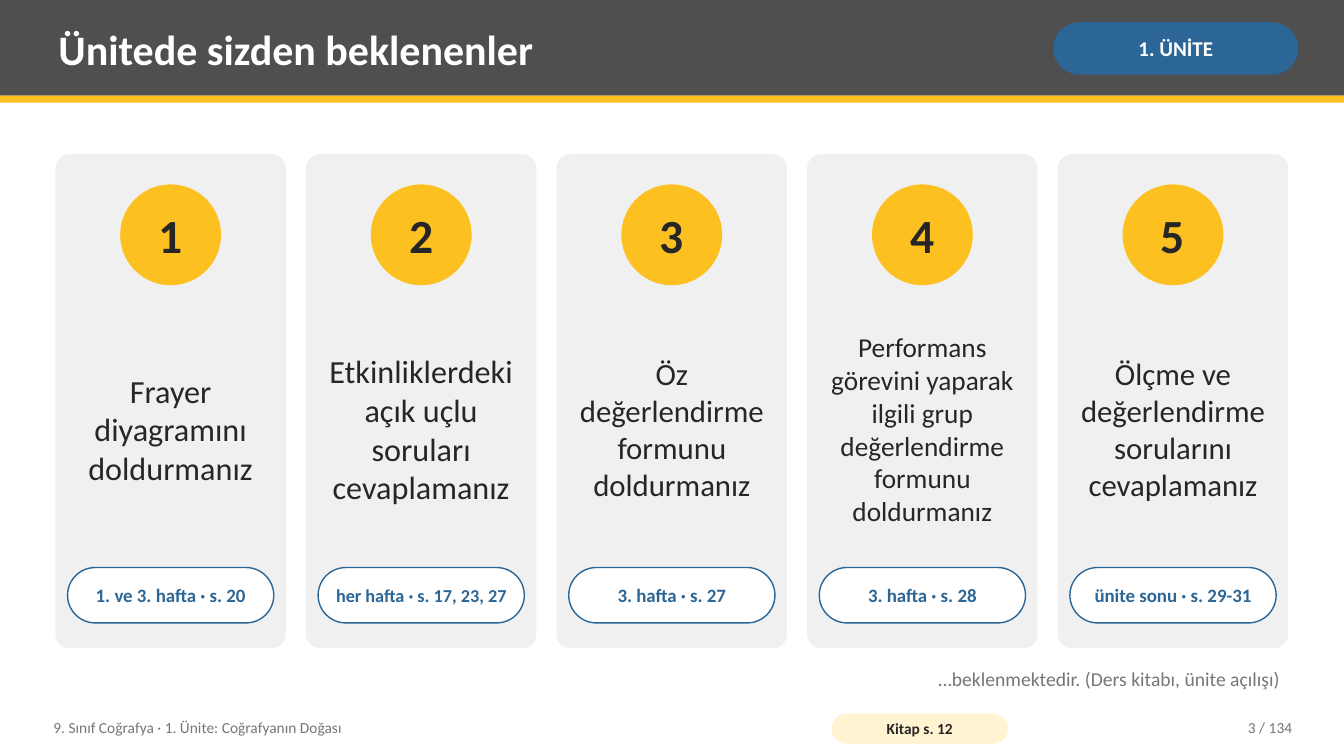
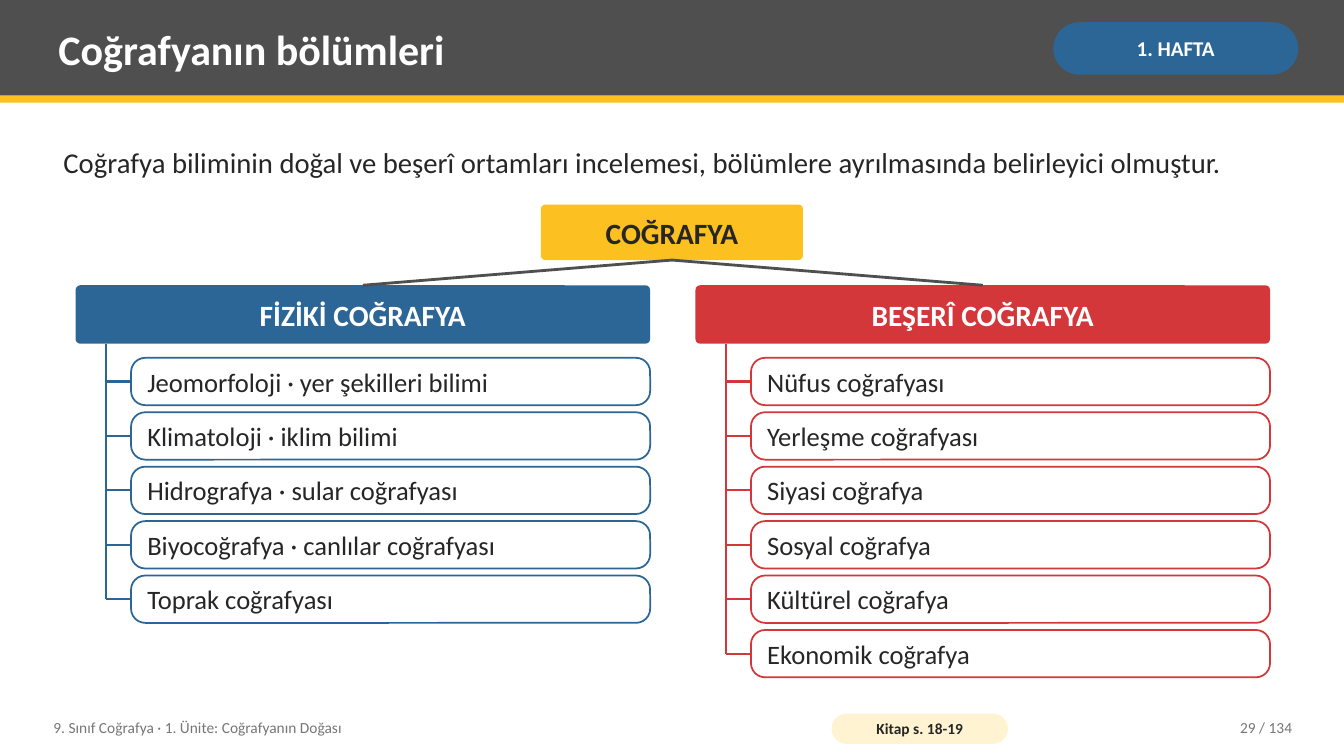
from lxml import etree
from pptx import Presentation
from pptx import util as u
from pptx.dml.color import RGBColor
from pptx.enum import shapes, text
from pptx.oxml import ns

Pt = u.Pt
SHAPE = shapes.MSO_SHAPE
ALIGN = text.PP_ALIGN
ANCHOR = text.MSO_ANCHOR

WIDTH, HEIGHT = 960, 540
MARGIN, CONTENT_WIDTH = 39.6, 880.56
TEXT_INSETS = (5.76, 2.88)
BOX_INSETS = (10.08, 5.76)


class Deck:
    """Holds the style and the current slide."""

    font = "Calibri"
    colors = {
        "white": "FFFFFF", "ink": "262626", "dark": "4F4F4F", "muted": "767676",
        "card": "F0F0F0", "yellow": "FCC021", "cream": "FFF3D1",
        "blue": "2C6696", "red": "D3373A",
    }

    def __init__(self):
        self.prs = Presentation()
        self.prs.slide_width, self.prs.slide_height = Pt(WIDTH), Pt(HEIGHT)
        self.slide = None

    def color(self, name):
        return RGBColor.from_string(self.colors[name])

    def set_text(self, frame, wording, size, color="ink", bold=False, align=ALIGN.LEFT,
                 insets=TEXT_INSETS, anchor=ANCHOR.MIDDLE, wrap=True):
        frame.word_wrap = wrap
        frame.vertical_anchor = anchor
        frame.margin_left = frame.margin_right = Pt(insets[0])
        frame.margin_top = frame.margin_bottom = Pt(insets[1])
        frame.text = wording
        paragraph = frame.paragraphs[0]
        paragraph.alignment = align
        font = paragraph.runs[0].font
        font.name, font.size, font.bold = self.font, Pt(size), bold
        font.color.rgb = self.color(color)

    def label(self, box, wording, size, **style):
        frame = self.slide.shapes.add_textbox(*map(Pt, box)).text_frame
        self.set_text(frame, wording, size, **style)

    def shape(self, kind, box, fill, line=None, line_width=1, radius=None):
        shape = self.slide.shapes.add_shape(kind, *map(Pt, box))
        shape.shadow.inherit = False
        shape.fill.solid()
        shape.fill.fore_color.rgb = self.color(fill)
        if line:
            shape.line.color.rgb = self.color(line)
            shape.line.width = Pt(line_width)
        else:
            shape.line.fill.background()
        if radius is not None:
            shape.adjustments[0] = radius
        return shape

    def rounded(self, box, fill, radius, wording=None, size=None, line=None,
                line_width=1, **style):
        shape = self.shape(SHAPE.ROUNDED_RECTANGLE, box, fill, line, line_width, radius)
        if wording:
            self.set_text(shape.text_frame, wording, size, **style)
        return shape

    def pill(self, box, fill, wording, size, **style):
        self.rounded(box, fill, 0.5, wording, size, bold=True, align=ALIGN.CENTER, **style)

    def heading(self, box, fill, wording, color):
        return self.rounded(box, fill, 0.08, wording, 21, color=color, bold=True,
                            align=ALIGN.CENTER, insets=BOX_INSETS)

    def connector(self, start, end, color, width, begin_at=None, end_at=None):
        line = self.slide.shapes.add_connector(
            shapes.MSO_CONNECTOR.STRAIGHT, *map(Pt, (*start, *end)))
        if begin_at:
            line.begin_connect(*begin_at)
        if end_at:
            line.end_connect(*end_at)
        line.line.color.rgb = self.color(color)
        line.line.width = Pt(width)
        etree.SubElement(line._element.spPr, ns.qn("a:effectLst"))

    def new_slide(self, title, section, pages, number):
        self.slide = self.prs.slides.add_slide(self.prs.slide_layouts[6])
        # Title band
        self.shape(SHAPE.RECTANGLE, (0, 0, WIDTH, 68.4), "dark")
        self.shape(SHAPE.RECTANGLE, (0, 68.4, WIDTH, 5.04), "yellow")
        self.label((36, 5.04, 702, 59.04), title, 30, color="white", bold=True)
        self.pill((752.4, 15.84, 174.96, 37.44), "blue", section, 15, color="white",
                  insets=(3.6, 1.44))
        # Footer
        self.label((32.4, 506.88, 547.2, 25.92),
                   "9. Sınıf Coğrafya · 1. Ünite: Coğrafyanın Doğası", 11, color="muted")
        self.pill((594, 509.76, 126, 21.6), "cream", f"Kitap s. {pages}", 11,
                  insets=(2.88, 0))
        self.label((813.6, 506.88, 115.2, 25.92), f"{number} / 134", 11, color="muted",
                   align=ALIGN.RIGHT)


def expectations(deck):
    deck.new_slide("Ünitede sizden beklenenler", "1. ÜNİTE", "12", 3)
    cards = [
        ("Frayer diyagramını doldurmanız", 23, "1. ve 3. hafta · s. 20", 13.5),
        ("Etkinliklerdeki açık uçlu soruları cevaplamanız", 23,
         "her hafta · s. 17, 23, 27", 13),
        ("Öz değerlendirme formunu doldurmanız", 22, "3. hafta · s. 27", 13.5),
        ("Performans görevini yaparak ilgili grup değerlendirme formunu doldurmanız", 19.5,
         "3. hafta · s. 28", 13.5),
        ("Ölçme ve değerlendirme sorularını cevaplamanız", 22,
         "ünite sonu · s. 29-31", 13.5),
    ]
    gap, padding, circle = 14.4, 8.64, 72
    card_width = (CONTENT_WIDTH - gap * (len(cards) - 1)) / len(cards)
    inner_width = card_width - 2 * padding
    for index, (task, task_size, week, week_size) in enumerate(cards):
        left = MARGIN + index * (card_width + gap)
        inner_left = left + padding
        deck.rounded((left, 110.16, card_width, 352.8), "card", 0.06)
        badge = deck.shape(SHAPE.OVAL, (left + (card_width - circle) / 2, 131.76,
                                        circle, circle), "yellow")
        deck.set_text(badge.text_frame, str(index + 1), 34, bold=True,
                      align=ALIGN.CENTER, insets=(0, 0), wrap=False)
        deck.label((inner_left, 218.16, inner_width, 176.4), task, task_size,
                   align=ALIGN.CENTER)
        deck.pill((inner_left, 405.36, inner_width, 39.6), "white", week, week_size,
                  color="blue", line="blue", insets=(2.88, 5.76))
    deck.label((MARGIN, 473.76, CONTENT_WIDTH, 28.8),
               "…beklenmektedir. (Ders kitabı, ünite açılışı)", 14, color="muted",
               align=ALIGN.RIGHT, anchor=ANCHOR.TOP)


def divisions(deck):
    deck.new_slide("Coğrafyanın bölümleri", "1. HAFTA", "18-19", 29)
    deck.label((MARGIN, 88.56, CONTENT_WIDTH, 54),
               "Coğrafya biliminin doğal ve beşerî ortamları incelemesi, "
               "bölümlere ayrılmasında belirleyici olmuştur.", 20.5)
    branches = [
        ("FİZİKİ COĞRAFYA", "blue", 54, [
            "Jeomorfoloji · yer şekilleri bilimi", "Klimatoloji · iklim bilimi",
            "Hidrografya · sular coğrafyası", "Biyocoğrafya · canlılar coğrafyası",
            "Toprak coğrafyası"]),
        ("BEŞERÎ COĞRAFYA", "red", 496.8, [
            "Nüfus coğrafyası", "Yerleşme coğrafyası", "Siyasi coğrafya",
            "Sosyal coğrafya", "Kültürel coğrafya", "Ekonomik coğrafya"]),
    ]
    root_width, root_top, root_height = 187.2, 146.16, 39.6
    branch_top, branch_width, branch_height = 203.76, 410.4, 41.76
    field_top, field_height, field_pitch, indent = 255.6, 33.84, 38.88, 39.6
    root_bottom, branch_bottom = root_top + root_height, branch_top + branch_height

    root = deck.heading(((WIDTH - root_width) / 2, root_top, root_width, root_height),
                        "yellow", "COĞRAFYA", "ink")
    for name, color, left, fields in branches:
        branch = deck.heading((left, branch_top, branch_width, branch_height),
                              color, name, "white")
        deck.connector((WIDTH / 2, root_bottom), (left + branch_width / 2, branch_top),
                       "dark", 2, (root, 2), (branch, 0))
        # Trunk with one twig per field
        trunk = left + 21.6
        last_middle = field_top + (len(fields) - 1) * field_pitch + field_height / 2
        deck.connector((trunk, branch_bottom), (trunk, last_middle), color, 1.5)
        for index, field_name in enumerate(fields):
            top = field_top + index * field_pitch
            middle = top + field_height / 2
            field = deck.rounded((left + indent, top, branch_width - indent, field_height),
                                 "white", 0.3, field_name, 19, line=color,
                                 line_width=1.25, insets=(8.64, 0))
            deck.connector((trunk, middle), (left + indent, middle), color, 1.5,
                           end_at=(field, 1))


def main():
    deck = Deck()
    expectations(deck)
    divisions(deck)
    deck.prs.save("out.pptx")


if __name__ == "__main__":
    main()
